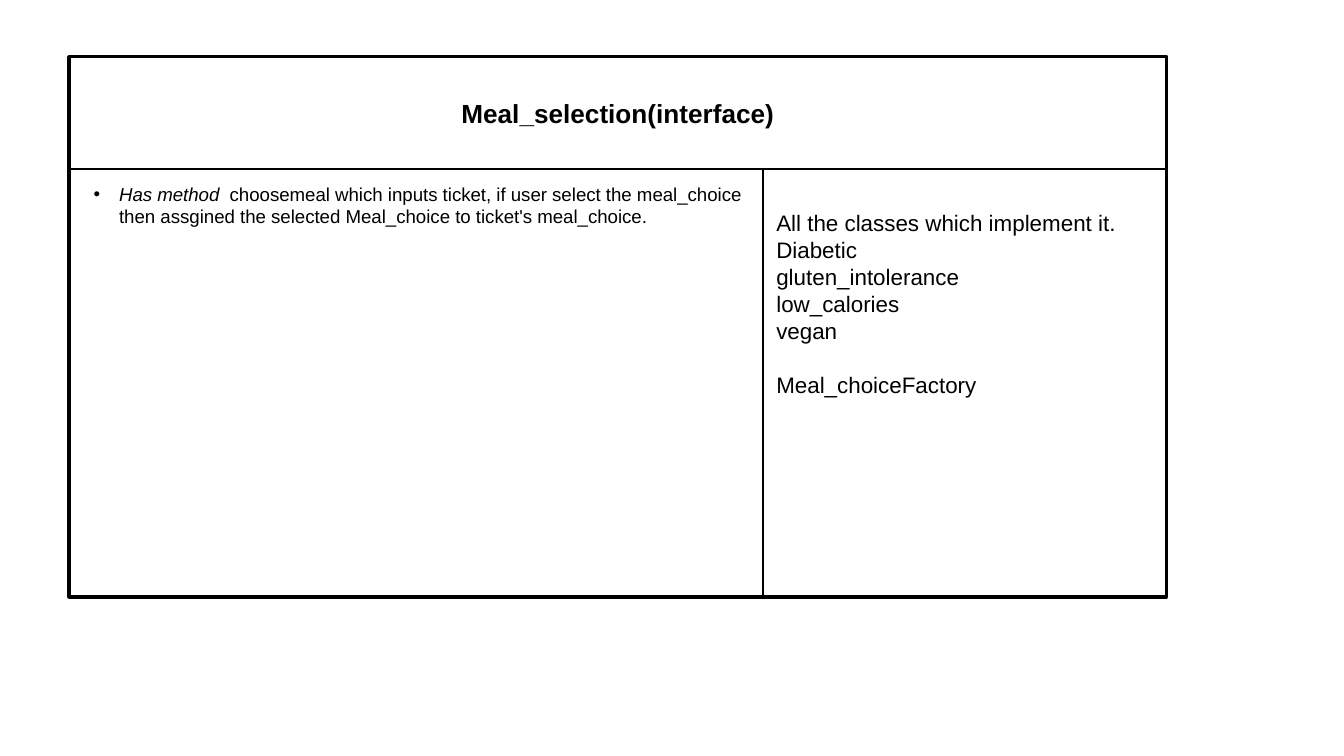
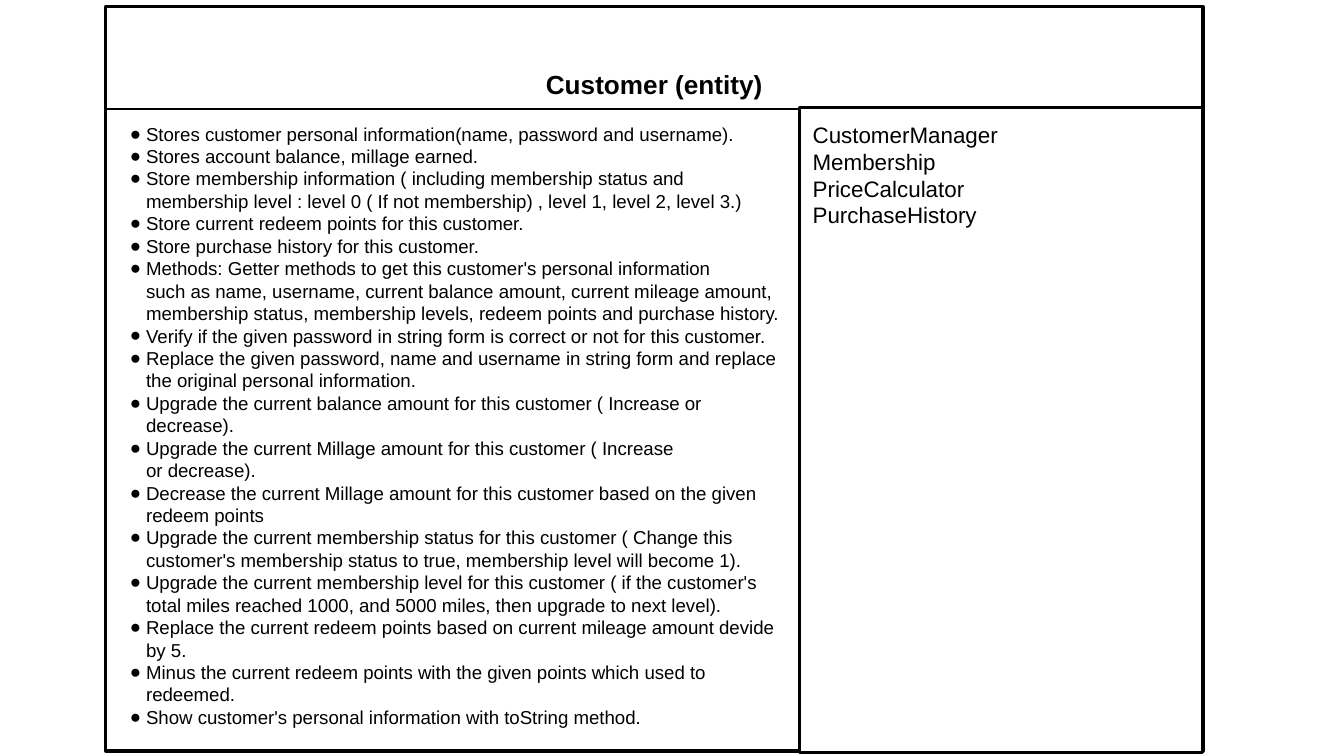
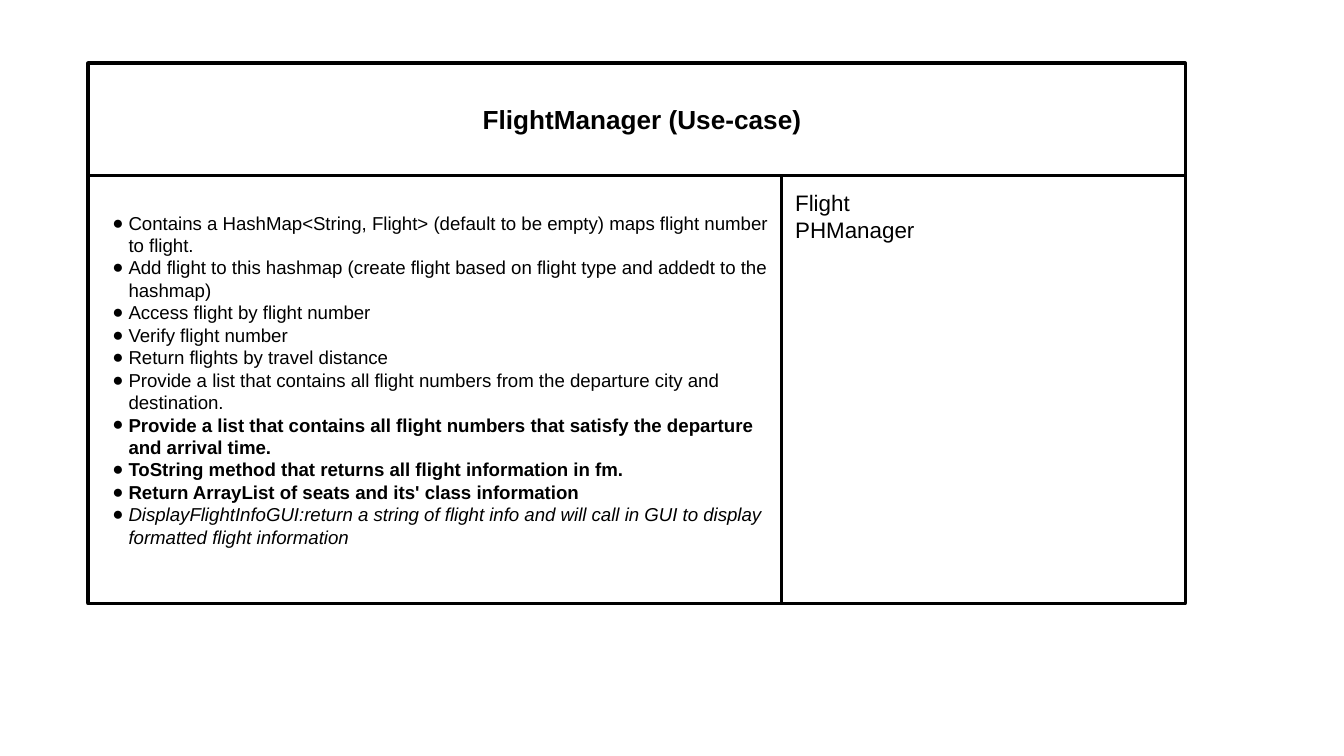
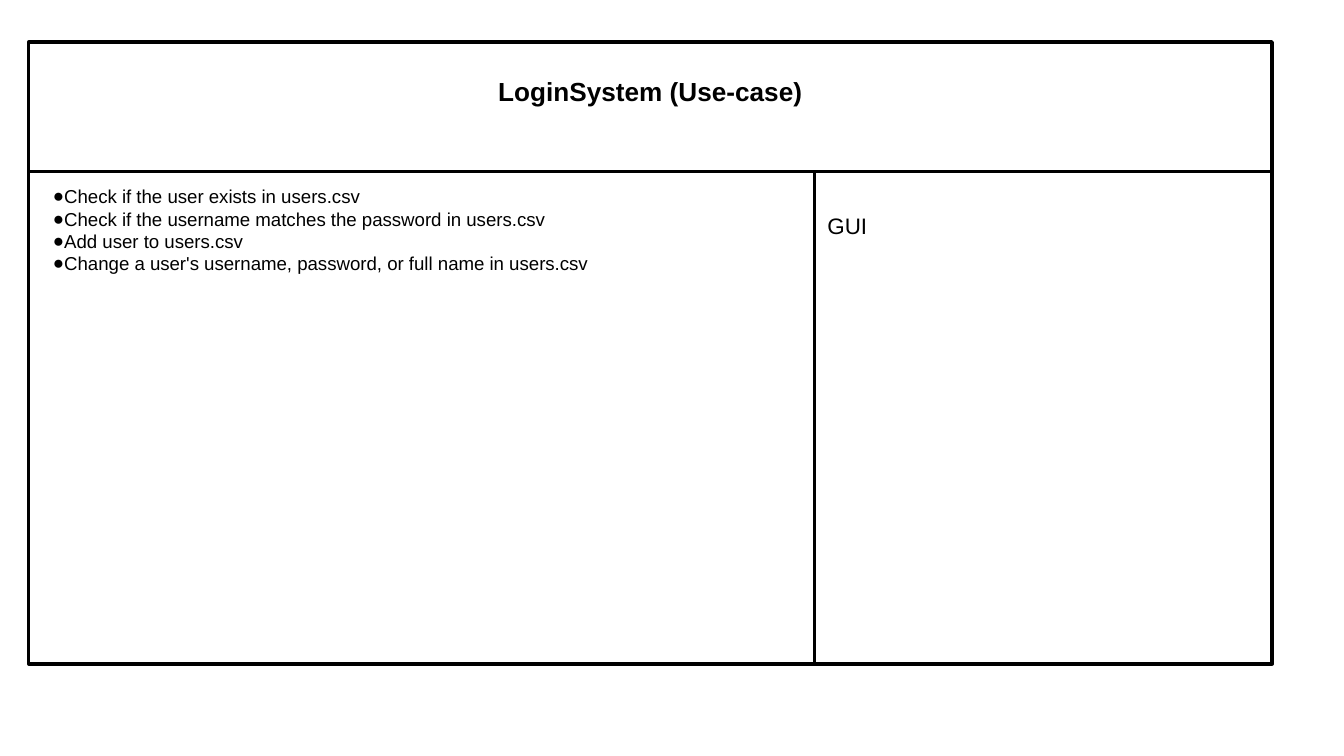
"""Build four class cards, each with a title, duties and partners."""
from dataclasses import dataclass

import pptx
import pptx.dml.color
import pptx.enum.shapes
import pptx.enum.text
import pptx.oxml
import pptx.oxml.ns
import pptx.shapes.autoshape
import pptx.shapes.shapetree
import pptx.text.text
import pptx.util

Pt = pptx.util.Pt
Align = pptx.enum.text.PP_ALIGN
Anchor = pptx.enum.text.MSO_ANCHOR

BLACK = pptx.dml.color.RGBColor(0x00, 0x00, 0x00)
WHITE = pptx.dml.color.RGBColor(0xFF, 0xFF, 0xFF)
FONT = "Arial"
INSET = 7.2
HARD = chr(160)


@dataclass(frozen=True)
class Run:
    """A stretch of text in one style."""
    text: str
    bold: bool = False
    italic: bool = False


@dataclass(frozen=True)
class Line:
    """A paragraph made of runs, with the gap above it."""
    runs: tuple[Run, ...]
    before: float = 0


@dataclass(frozen=True)
class Bullet:
    """A bullet sign, the text margin and the hang of the sign."""
    sign: str
    margin: float
    hang: float


@dataclass(frozen=True)
class Style:
    """How the text of a cell is set."""
    size: float
    align: Align = Align.LEFT
    anchor: Anchor = Anchor.TOP
    bullet: Bullet | None = None
    margin: float = 0
    top: float = INSET
    bottom: float = INSET


@dataclass(frozen=True)
class Box:
    """A rectangle in points."""
    left: float
    top: float
    width: float
    height: float


@dataclass(frozen=True)
class Card:
    """One slide: its frame, its cells and their text."""
    frame: Box
    head: Box
    duty: Box
    mate: Box
    title: str
    duties: tuple[Line, ...]
    mates: tuple[Line, ...]
    title_style: Style
    duty_style: Style
    mate_style: Style


def plain(*texts: str) -> tuple[Line, ...]:
    """Make one plain line of each text."""
    return tuple(Line((Run(text),)) for text in texts)


def bold(*texts: str) -> tuple[Line, ...]:
    """Make one bold line of each text."""
    return tuple(Line((Run(text, bold=True),)) for text in texts)


def title(margin: float = 0, bottom: float = INSET) -> Style:
    """Give the style of a card title."""
    return Style(14, Align.CENTER, Anchor.MIDDLE, margin=margin, bottom=bottom)


def card(frame: Box, head: float, split: float, name: str,
         duties: tuple[Line, ...], mates: tuple[Line, ...],
         bullet: Bullet, duty_top: float = INSET, mate_top: float = INSET,
         name_style: Style = title(), body: float | None = None,
         rise: float = 0) -> Card:
    """Lay out the cells of a card from its frame and its two splits."""
    top = frame.top + (head if body is None else body)
    height = frame.top + frame.height - top
    return Card(
        frame,
        Box(frame.left, frame.top, frame.width, head),
        Box(frame.left, top, split, height),
        Box(frame.left + split, top - rise, frame.width - split,
            height + 2 * rise),
        name, duties, mates, name_style,
        Style(10, bullet=bullet, top=duty_top), Style(12, top=mate_top))


def mark(para: pptx.text.text._Paragraph, style: Style) -> None:
    """Set the indents and the bullet of a paragraph."""
    props = para._p.get_or_add_pPr()
    if style.bullet is None:
        props.set("marL", str(Pt(style.margin)))
        props.set("indent", "0")
        return
    props.set("marL", str(Pt(style.bullet.margin)))
    props.set("indent", str(-Pt(style.bullet.hang)))
    space = pptx.oxml.ns.nsdecls("a")
    for xml in (f'<a:buClr {space}><a:srgbClr val="{BLACK}"/></a:buClr>',
                f'<a:buFont {space} typeface="{FONT}"/>',
                f'<a:buChar {space} char="{style.bullet.sign}"/>'):
        props.append(pptx.oxml.parse_xml(xml))


def write(shape: pptx.shapes.autoshape.Shape, lines: tuple[Line, ...],
          style: Style) -> None:
    """Write lines into a shape."""
    frame = shape.text_frame
    frame.word_wrap = True
    frame.vertical_anchor = style.anchor
    frame.margin_left = frame.margin_right = Pt(INSET)
    frame.margin_top, frame.margin_bottom = Pt(style.top), Pt(style.bottom)
    for index, line in enumerate(lines):
        para = frame.add_paragraph() if index else frame.paragraphs[0]
        mark(para, style)
        para.alignment = style.align
        if line.before:
            para.space_before = Pt(line.before)
        for part in line.runs:
            run = para.add_run()
            run.text = part.text
            run.font.name = FONT
            run.font.size = Pt(style.size)
            run.font.color.rgb = BLACK
            run.font.bold = part.bold
            run.font.italic = part.italic


def cell(shapes: pptx.shapes.shapetree.GroupShapes, box: Box,
         weight: float = 1.5) -> pptx.shapes.autoshape.Shape:
    """Draw a white rectangle with a black line."""
    shape = shapes.add_shape(
        pptx.enum.shapes.MSO_SHAPE.RECTANGLE,
        Pt(box.left), Pt(box.top), Pt(box.width), Pt(box.height))
    shape.shadow.inherit = False
    shape.fill.solid()
    shape.fill.fore_color.rgb = WHITE
    shape.line.color.rgb = BLACK
    shape.line.width = Pt(weight)
    return shape


def draw(deck: pptx.presentation.Presentation, item: Card) -> None:
    """Add a slide with one card."""
    slide = deck.slides.add_slide(deck.slide_layouts[6])
    shapes = slide.shapes.add_group_shape().shapes
    cell(shapes, item.frame, 2.25)
    write(cell(shapes, item.head), bold(item.title), item.title_style)
    write(cell(shapes, item.duty), item.duties, item.duty_style)
    write(cell(shapes, item.mate), item.mates, item.mate_style)


DOT = Bullet("●", 14.4, 8.64)
ROW10, ROW12, ROW14 = 12, 14.5, 16.9

CARDS = (
    card(
        Box(37.3, 30.4, 587.5, 289.4), 60.2, 371.5,
        "Meal_selection(interface)",
        (Line((
            Run(f"Has method{HARD} ", italic=True),
            Run(f"choosemeal{HARD}which inputs ticket, if user select the "
                f"meal_choice then assgined the selected{HARD}Meal_choice to "
                "ticket's meal_choice."))),),
        plain("All the classes which implement it.", "Diabetic",
              "gluten_intolerance", "low_calories", "vegan")
        + (Line((Run("Meal_choiceFactory"),), before=ROW12),),
        Bullet("•", 19.44, 13.68), mate_top=INSET + ROW12),
    card(
        Box(56.8, 3.6, 587.5, 398.6), 82.8, 371.5,
        "Customer (entity)",
        plain(
            f"Stores customer personal information(name,{HARD}password and "
            "username).",
            "Stores account balance, millage earned.",
            f"Store membership information ( including{HARD}membership status "
            "and membership level : level 0 ( If not membership) , level 1, "
            "level 2, level 3.)",
            "Store current redeem points for this customer.",
            f"Store purchase history{HARD}for this customer.",
            "Methods: Getter methods to get this customer's personal "
            f"information such{HARD}as{HARD}name,{HARD}username, current "
            f"balance amount,{HARD}current{HARD}mileage{HARD}amount, "
            f"membership status, membership levels,{HARD}redeem points and "
            "purchase history.",
            "Verify if the given password in string form is correct or not "
            "for this customer.",
            f"Replace the given password, name and username{HARD}in string "
            f"form and replace the{HARD}original personal information.",
            "Upgrade the current balance amount for this customer ( Increase "
            "or decrease).",
            "Upgrade the current Millage amount for this customer ( Increase "
            f"or{HARD}decrease).",
            "Decrease the current Millage amount for this customer based on "
            "the given redeem points",
            "Upgrade the current membership status for this customer ( "
            "Change this customer's membership status to true, membership "
            "level will become 1).",
            "Upgrade the current membership level for this customer ( if "
            f"the customer's total miles reached 1000, and 5000{HARD}miles, "
            "then upgrade to next level).",
            f"Replace the current redeem points based on current{HARD}mileage "
            "amount devide by 5.",
            f"Minus the{HARD}current redeem points with the given points "
            "which used to redeemed.",
            f"Show customer's personal information with{HARD}toString{HARD}"
            "method."),
        plain("CustomerManager", "Membership", "PriceCalculator",
              "PurchaseHistory"),
        DOT, body=54.8, rise=0.8),
    card(
        Box(47.4, 33.9, 587.5, 289.4), 60.2, 371.5,
        "FlightManager (Use-case)",
        plain(
            "Contains a HashMap<String, Flight> (default to be empty) maps "
            "flight number to flight.",
            "Add flight to this hashmap (create flight based on flight type "
            "and addedt to the hashmap)",
            "Access flight by flight number",
            "Verify flight number",
            "Return flights by travel distance",
            "Provide a list that contains all flight numbers from the "
            "departure city and destination.")
        + bold(
            "Provide a list that contains all flight numbers that satisfy "
            "the departure and arrival time.",
            "ToString method that returns all flight information in fm.",
            "Return ArrayList of seats and its' class information")
        + (Line((Run(
            "DisplayFlightInfoGUI:return a string of flight info and will "
            "call in GUI to display formatted flight information",
            italic=True),)),),
        plain("Flight", "PHManager"),
        DOT, duty_top=INSET + ROW10, name_style=title(margin=5.76)),
    card(
        Box(15.5, 22.6, 665.9, 333), 69.3, 420.7,
        "LoginSystem (Use-case)",
        plain("Check if the user exists in users.csv",
              "Check if the username matches the password in users.csv",
              "Add user to users.csv",
              "Change a user's username, password, or full name in users.csv"),
        plain("GUI"),
        Bullet("●", 11.8, 6.04), mate_top=INSET + ROW12,
        name_style=title(bottom=INSET + ROW14)),
)


def main() -> None:
    """Build the deck and save it."""
    deck = pptx.Presentation()
    deck.slide_width, deck.slide_height = Pt(720), Pt(405)
    for item in CARDS:
        draw(deck, item)
    deck.save("out.pptx")


if __name__ == "__main__":
    main()
